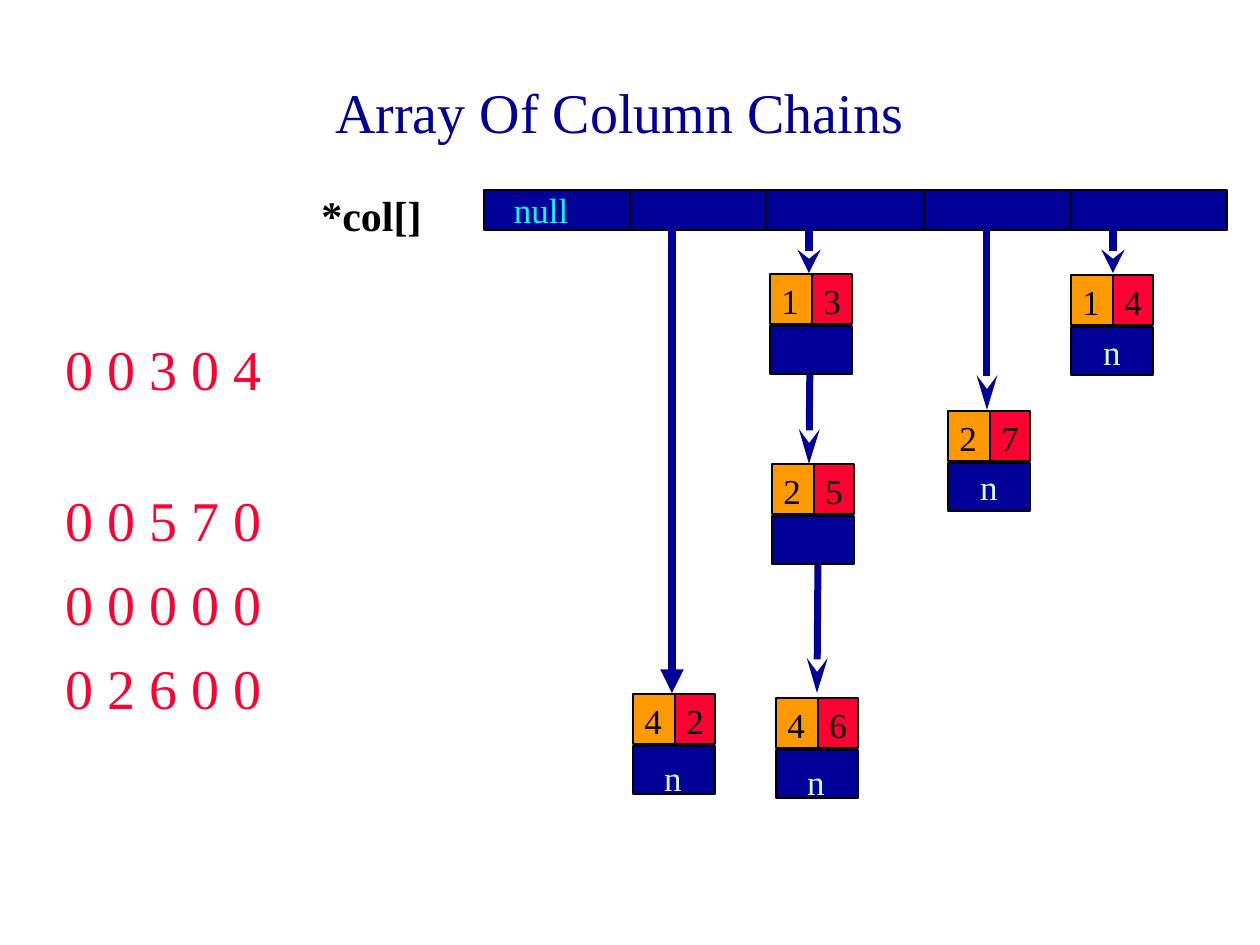
from lxml.etree import SubElement
from pptx import Presentation
from pptx.dml.color import RGBColor
from pptx.enum.shapes import MSO_CONNECTOR, MSO_SHAPE
from pptx.enum.text import MSO_ANCHOR, PP_ALIGN
from pptx.oxml.ns import qn
from pptx.util import Emu, Pt

PX = 914400 // 126
FONT = "Times New Roman"
NAVY, BLACK, RED, ORANGE = "000099", "000000", "FF0033", "FF9900"
CYAN, PALE = "00FFFF", "CCFFFF"

BAR_TOP, BAR_MIDDLE, BAR_BOTTOM = 190, 210, 231
DIVIDERS = [630, 766, 924, 1071]
MATRIX = ["0 0 3 0 4", "0 0 5 7 0", "0 0 0 0 0", "0 2 6 0 0"]

# start x, start y, end x, end y, width in points, head type, head length
ARROWS = [
    (672, BAR_MIDDLE, 672, 693, 4.5, "triangle", "med"),
    (809, BAR_MIDDLE, 809, 273, 4.5, "stealth", "med"),
    (987, BAR_MIDDLE, 987, 410, 4, "stealth", "lg"),
    (1113, BAR_MIDDLE, 1113, 273, 4.5, "stealth", "med"),
    (818, 563, 817, 693, 4, "stealth", "lg"),
    (810, 358, 809, 464, 4, "stealth", "lg"),
]

# left, top, row, value, where the end mark "n" stands
NODES = [
    (633, 694, "4", "2", "below"),
    (770, 274, "1", "3", None),
    (772, 464, "2", "5", None),
    (776, 698, "4", "6", "below"),
    (948, 411, "2", "7", "inside"),
    (1071, 275, "1", "4", "inside"),
]


def px(length):
    return Emu(length * PX)


def color(value):
    return RGBColor.from_string(value)


def write(shape, lines, size, ink, align=PP_ALIGN.LEFT, anchor=MSO_ANCHOR.TOP, bold=False):
    frame = shape.text_frame
    frame.word_wrap = True
    frame.vertical_anchor = anchor
    frame.text = "\n".join(lines)
    for para in frame.paragraphs:
        para.alignment = align
        for span in para.runs:
            span.font.name = FONT
            span.font.size = Pt(size)
            span.font.bold = bold
            span.font.color.rgb = color(ink)
    return frame


def add_text(shapes, left, top, width, height, lines, size, ink, **style):
    box = shapes.add_textbox(px(left), px(top), px(width), px(height))
    return write(box, lines, size, ink, **style)


def add_cell(shapes, left, top, width, height, fill):
    cell = shapes.add_shape(MSO_SHAPE.RECTANGLE, px(left), px(top), px(width), px(height))
    cell.shadow.inherit = False
    cell.fill.solid()
    cell.fill.fore_color.rgb = color(fill)
    cell.line.color.rgb = color(BLACK)
    cell.line.width = Pt(1)
    return cell


def add_line(shapes, x1, y1, x2, y2, ink, width):
    line = shapes.add_connector(MSO_CONNECTOR.STRAIGHT, px(x1), px(y1), px(x2), px(y2))
    line.line.color.rgb = color(ink)
    line.line.width = Pt(width)
    SubElement(line._element.spPr, qn("a:effectLst"))
    return line


def add_arrow(shapes, x1, y1, x2, y2, width, head, length):
    arrow = add_line(shapes, x1, y1, x2, y2, NAVY, width)
    SubElement(arrow.line._get_or_add_ln(), qn("a:tailEnd"), type=head, w="med", len=length)


def add_bar(shapes):
    """Draw the array of column pointers with its dividers."""
    bar = add_cell(shapes, 484, BAR_TOP, 743, 40, NAVY)
    frame = write(bar, ["null"], 20, CYAN, anchor=MSO_ANCHOR.MIDDLE)
    frame.margin_left = px(30)
    for x in DIVIDERS:
        add_line(shapes, x, BAR_TOP - 1, x, BAR_BOTTOM, BLACK, 1)


def add_node(page, left, top, row, value, end_mark):
    shapes = page.shapes.add_group_shape().shapes
    add_cell(shapes, left, top, 62, 50, ORANGE)
    add_text(shapes, left - 1, top - 1, 63, 54, [row], 20, BLACK)
    add_cell(shapes, left + 42, top, 40, 50, RED)
    pointer = add_cell(shapes, left, top + 52, 82, 48, NAVY)
    add_text(shapes, left + 41, top - 1, 32, 54, [value], 20, BLACK)
    if end_mark == "inside":
        write(pointer, ["n"], 20, PALE, align=PP_ALIGN.CENTER, anchor=MSO_ANCHOR.MIDDLE)
    elif end_mark == "below":
        add_text(shapes, left - 3, top + 56, 86, 54, ["n"], 20, PALE, align=PP_ALIGN.CENTER)


def add_matrix(shapes):
    frame = add_text(shapes, 53, 157, 262, 599, MATRIX, 32, RED)
    frame.margin_top = px(177)
    for para, gap in zip(frame.paragraphs, [0, 48, 9.6, 9.6]):
        para.space_before = Pt(gap)


def main():
    deck = Presentation()
    deck.slide_width, deck.slide_height = px(1260), px(945)
    page = deck.slides.add_slide(deck.slide_layouts[6])
    shapes = page.shapes
    add_matrix(shapes)
    add_bar(shapes)
    for arrow in ARROWS:
        add_arrow(shapes, *arrow)
    for node in NODES:
        add_node(page, *node)
    add_text(shapes, 84, 53, 1071, 116, ["Array Of Column Chains"], 32, NAVY,
             align=PP_ALIGN.CENTER, anchor=MSO_ANCHOR.MIDDLE)
    add_text(shapes, 309, 183, 136, 63, ["*col[]"], 24, BLACK, bold=True)
    deck.save("out.pptx")


if __name__ == "__main__":
    main()
